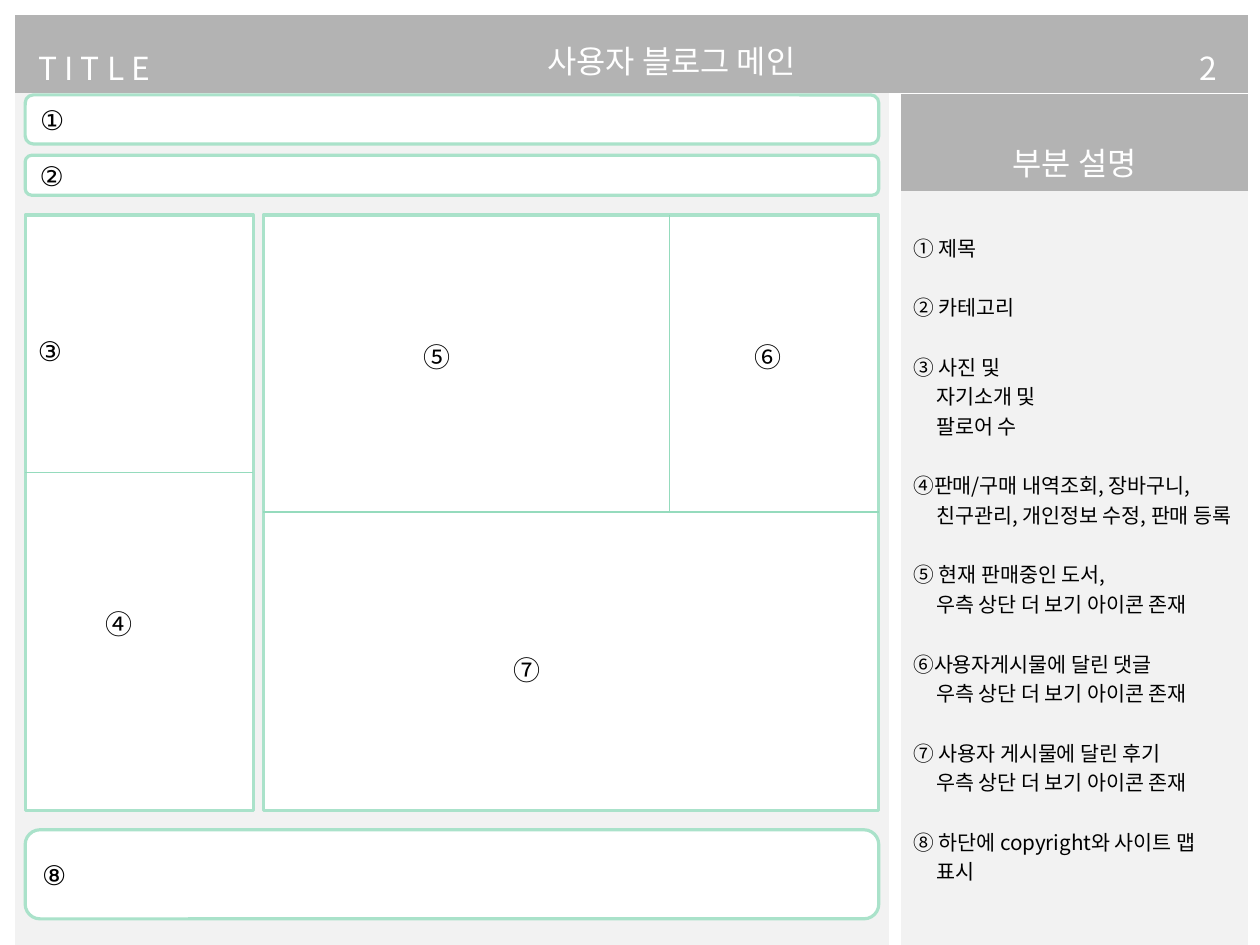
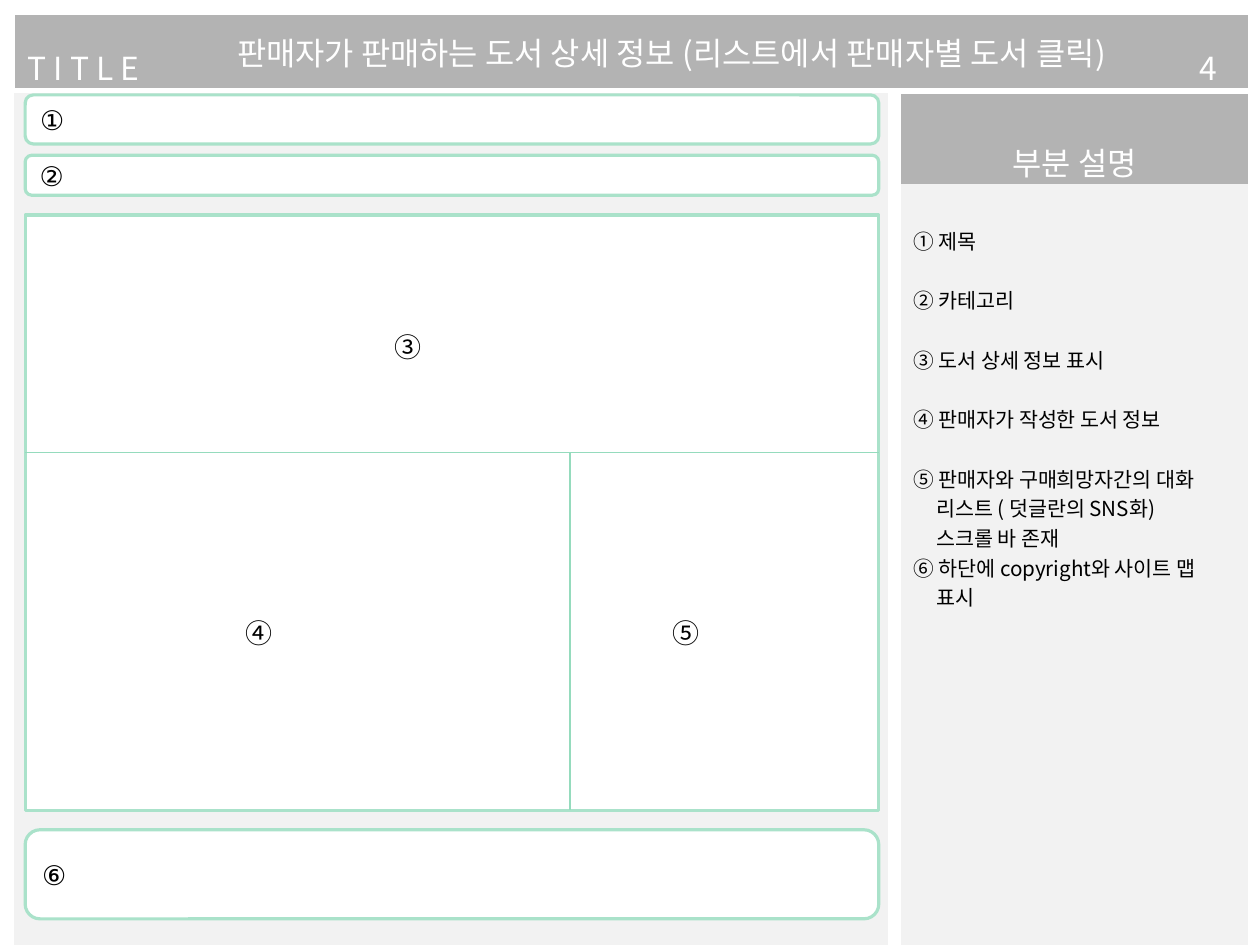
from dataclasses import dataclass

from lxml import etree
from pptx import Presentation
from pptx.dml.color import RGBColor
from pptx.enum.shapes import MSO_CONNECTOR, MSO_SHAPE
from pptx.enum.text import MSO_ANCHOR, PP_ALIGN
from pptx.oxml.ns import qn
from pptx.util import Cm, Pt

RECTANGLE = MSO_SHAPE.RECTANGLE
ROUNDED = MSO_SHAPE.ROUNDED_RECTANGLE
STRAIGHT = MSO_CONNECTOR.STRAIGHT
TOP, MIDDLE = MSO_ANCHOR.TOP, MSO_ANCHOR.MIDDLE
LEFT, CENTER = PP_ALIGN.LEFT, PP_ALIGN.CENTER
MARKERS = "①②③④⑤⑥⑦⑧"
PAGE_HEIGHT = 21


@dataclass(frozen=True)
class Theme:
    """Colours, fonts and type sizes shared by all pages."""

    band: RGBColor = RGBColor(0xB3, 0xB3, 0xB3)
    panel: RGBColor = RGBColor(0xF2, 0xF2, 0xF2)
    white: RGBColor = RGBColor(0xFF, 0xFF, 0xFF)
    black: RGBColor = RGBColor(0, 0, 0)
    frame: RGBColor = RGBColor(0xAA, 0xE2, 0xCA)
    divider: RGBColor = RGBColor(0x95, 0xDB, 0xBD)
    font: str = "Noto Sans CJK KR"
    frame_font: str = "Arial"
    title_size: float = 20
    marker_size: float = 17
    note_size: float = 13
    note_gap: float = 18.7


def assign(target, values):
    """Set every attribute named in values on the target."""
    for name, value in values.items():
        setattr(target, name, value)


def margins(left=0.28, top=0.15, right=0.28, bottom=0.15):
    """Return text margins as format values."""
    return {"margin_left": Cm(left), "margin_top": Cm(top),
            "margin_right": Cm(right), "margin_bottom": Cm(bottom)}


class WireframeDeck:
    """Holds the theme, the presentation and the current page."""

    def __init__(self, theme):
        """Start an empty deck."""
        self.theme = theme
        self.deck = Presentation()
        assign(self.deck, {"slide_width": Cm(28), "slide_height": Cm(PAGE_HEIGHT)})
        self.page = None

    def new_page(self):
        """Add a blank page and make it current."""
        self.page = self.deck.slides.add_slide(self.deck.slide_layouts[6])

    def add_span(self, para, text, size, color, font, **formats):
        """Put one formatted span into a paragraph."""
        assign(para, formats)
        span = para.add_run()
        span.text = text
        assign(span.font, {"size": Pt(size), "name": font})
        span.font.color.rgb = color
        east_asian = etree.SubElement(span.font._element, qn("a:ea"))
        east_asian.set("typeface", font)

    def table(self, left, top, widths, heights, fills):
        """Add a borderless table and return its cells in reading order."""
        table = self.page.shapes.add_table(
            len(heights), len(widths), Cm(left), Cm(top),
            Cm(sum(widths)), Cm(sum(heights))).table
        assign(table, {"first_row": False, "horz_banding": False})
        for column, width in zip(table.columns, widths):
            column.width = Cm(width)
        for row, height in zip(table.rows, heights):
            row.height = Cm(height)
        cells = list(table.iter_cells())
        for cell, fill in zip(cells, fills):
            cell.fill.solid()
            cell.fill.fore_color.rgb = fill
            properties = cell._tc.get_or_add_tcPr()
            for index, side in enumerate(("lnL", "lnR", "lnT", "lnB")):
                border = etree.Element(qn(f"a:{side}"), w="0")
                etree.SubElement(border, qn("a:noFill"))
                properties.insert(index, border)
        return cells

    def header(self, title, number, height, bottom, anchor, label_align):
        """Add the title band across the page."""
        theme = self.theme
        cells = self.table(0.33, 0.33, (3.53, 22.12, 1.75), (height,), [theme.band] * 3)
        parts = (("T I T L E", 0.99, label_align), (title, 0.66, CENTER),
                 (number, 0.99, CENTER))
        for cell, (text, top, align) in zip(cells, parts):
            assign(cell, {"vertical_anchor": anchor, **margins(top=top, bottom=bottom)})
            self.add_span(cell.text_frame.paragraphs[0], text, theme.title_size,
                          theme.white, theme.font, alignment=align, line_spacing=0.58)

    def sidebar(self, groups, heading_height, bottom):
        """Add the column that explains the numbered parts."""
        theme = self.theme
        top = 2.08
        heading, notes = self.table(
            20.02, top, (7.72,), (heading_height, PAGE_HEIGHT - top - heading_height),
            (theme.band, theme.panel))
        assign(heading, margins(top=0.99, bottom=bottom))
        self.add_span(heading.text_frame.paragraphs[0], "부분 설명", theme.title_size,
                      theme.white, theme.font, alignment=CENTER)
        assign(notes, margins(top=0.92))
        para = notes.text_frame.paragraphs[0]
        for group_index, group in enumerate(groups):
            for line_index, line in enumerate(group):
                if group_index or line_index:
                    para = notes.text_frame.add_paragraph()
                gap = theme.note_gap if group_index and not line_index else 0
                self.add_span(para, line, theme.note_size, theme.black, theme.font,
                              space_before=Pt(gap))
                if line[0] not in MARKERS:
                    para._p.get_or_add_pPr().set("indent", str(Cm(0.51)))

    def panel(self, left):
        """Add the grey ground behind the wireframe."""
        top = 2.06
        self.table(left, top, (19.43,), (PAGE_HEIGHT - top,), [self.theme.panel])

    def frame(self, top, height, text="", left=0.56, width=18.97,
              kind=ROUNDED, bottom=0.15):
        """Add an outlined area with an optional marker."""
        theme = self.theme
        box = self.page.shapes.add_shape(kind, Cm(left), Cm(top), Cm(width), Cm(height))
        box.shadow.inherit = False
        box.fill.solid()
        box.fill.fore_color.rgb = theme.white
        box.line.color.rgb = theme.frame
        box.line.width = Pt(2)
        if text:
            assign(box.text_frame, {"word_wrap": True, "vertical_anchor": MIDDLE,
                                    **margins(bottom=bottom)})
            self.add_span(box.text_frame.paragraphs[0], text, theme.marker_size,
                          theme.black, theme.frame_font, alignment=LEFT)

    def bars(self, footer):
        """Add the two top bars and the footer bar."""
        for top, height, text in ((2.11, 1.09, "①"), (3.45, 0.89, "②"),
                                  (18.44, 1.98, footer)):
            self.frame(top, height, text)

    def body(self, left=0.56, width=18.97, **options):
        """Add a square-cornered area of the page body."""
        self.frame(4.78, 13.23, left=left, width=width, kind=RECTANGLE, **options)

    def divider(self, *ends):
        """Add a thin line from one point to another."""
        line = self.page.shapes.add_connector(STRAIGHT, *map(Cm, ends))
        line.line.color.rgb = self.theme.divider
        line.line.width = Pt(1)
        etree.SubElement(line._element.spPr, qn("a:effectLst"))

    def marker(self, text, left, top):
        """Add a free-standing part number."""
        box = self.page.shapes.add_textbox(Cm(left), Cm(top), Cm(1.55), Cm(1.02))
        assign(box.text_frame, {"word_wrap": True, **margins()})
        self.add_span(box.text_frame.paragraphs[0], text, self.theme.marker_size,
                      self.theme.black, self.theme.font)


def blog_main(deck):
    """Build the user blog page."""
    more = "우측 상단 더 보기 아이콘 존재"
    deck.new_page()
    deck.header("사용자 블로그 메인", "2", 1.74, 0.15, MIDDLE, CENTER)
    deck.sidebar((
        ("① 제목",),
        ("② 카테고리",),
        ("③ 사진 및", "자기소개 및", "팔로어 수"),
        ("④판매/구매 내역조회, 장바구니,", "친구관리, 개인정보 수정, 판매 등록"),
        ("⑤ 현재 판매중인 도서,", more),
        ("⑥사용자게시물에 달린 댓글", more),
        ("⑦ 사용자 게시물에 달린 후기", more),
        ("⑧ 하단에 copyright와 사이트 맵", "표시"),
    ), 2.16, 0.15)
    deck.panel(0.33)
    deck.bars("⑧")
    deck.body(width=5.07, text="③", bottom=7.34)
    deck.body(left=5.85, width=13.68)
    for ends in ((0.56, 10.5, 5.63, 10.5), (5.85, 11.38, 19.53, 11.38),
                 (14.88, 4.78, 14.88, 11.38)):
        deck.divider(*ends)
    for text, left, top in (("④", 2.06, 13.36), ("⑤", 9.14, 7.42),
                            ("⑥", 16.48, 7.42), ("⑦", 11.13, 14.38)):
        deck.marker(text, left, top)


def book_detail(deck):
    """Build the book detail page."""
    deck.new_page()
    deck.header("판매자가 판매하는 도서 상세 정보 (리스트에서 판매자별 도서 클릭)",
                "4", 1.63, 0, TOP, LEFT)
    deck.sidebar((
        ("① 제목",),
        ("② 카테고리",),
        ("③ 도서 상세 정보 표시",),
        ("④ 판매자가 작성한 도서 정보",),
        ("⑤ 판매자와 구매희망자간의 대화", "리스트 ( 덧글란의 SNS화)", "스크롤 바 존재",
         "⑥ 하단에 copyright와 사이트 맵", "표시"),
    ), 1.98, 0)
    deck.panel(0.3)
    deck.bars("⑥")
    deck.body()
    deck.divider(0.56, 10.06, 19.53, 10.06)
    deck.divider(12.67, 10.06, 12.67, 18.01)
    for text, left, top in (("③", 8.48, 7.2), ("④", 5.18, 13.54), ("⑤", 14.66, 13.54)):
        deck.marker(text, left, top)


def main():
    """Build and save the deck."""
    wireframes = WireframeDeck(Theme())
    blog_main(wireframes)
    book_detail(wireframes)
    wireframes.deck.save("out.pptx")


if __name__ == "__main__":
    main()
